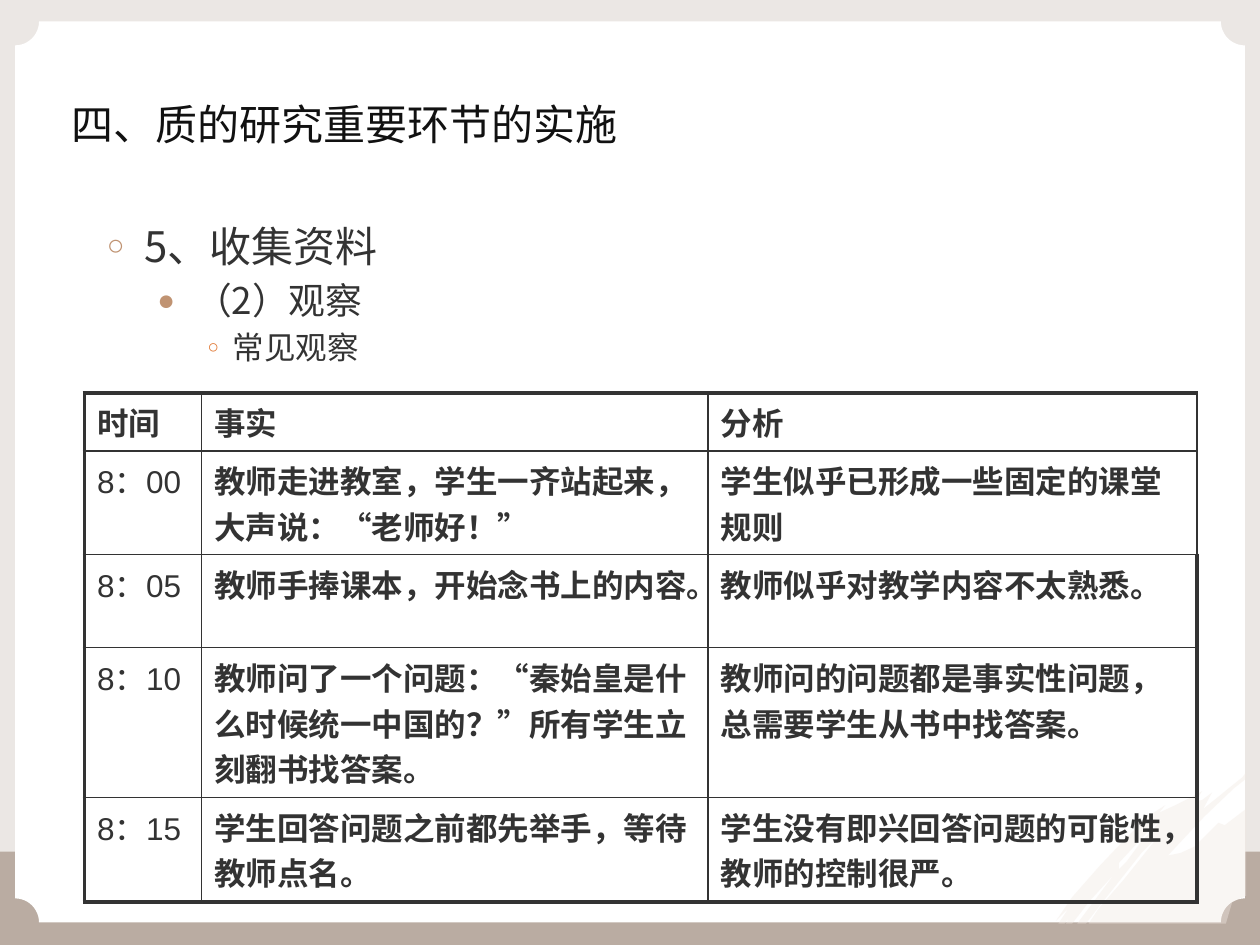
"""Build a slide with a heading, an outline and an observation record table."""
from dataclasses import dataclass

from lxml import etree
from pptx import Presentation
from pptx.dml.color import RGBColor
from pptx.enum.shapes import MSO_SHAPE
from pptx.enum.text import MSO_ANCHOR
from pptx.oxml.ns import qn
from pptx.util import Inches, Pt

RECTANGLE, PLAQUE = MSO_SHAPE.RECTANGLE, MSO_SHAPE.PLAQUE
BOTTOM = MSO_ANCHOR.BOTTOM
GRID = Inches(0.01)
COLUMNS, ROWS = 1000, 750


@dataclass(frozen=True)
class Theme:
    """Colours, fonts and sizes of the slide."""
    white: str = "FFFFFF"
    backdrop: str = "EBE7E4"
    band: str = "BAACA2"
    brush: str = "F2E9E3"
    brush_opacity: int = 40
    heading: str = "111111"
    ink: str = "333333"
    bullet: str = "C09372"
    small_bullet: str = "E0752F"
    outline_font: str = "Noto Sans CJK SC"
    table_font: str = "Arial"
    heading_size: int = 24
    table_size: int = 18
    thin: float = 1
    thick: float = 2.25


@dataclass(frozen=True)
class Box:
    """An area in grid columns and rows."""
    left: int
    top: int
    width: int
    height: int

    def lengths(self):
        """Return the four lengths in slide units."""
        return [GRID * n for n in (self.left, self.top, self.width, self.height)]


@dataclass(frozen=True)
class Level:
    """One outline line with its bullet and indent."""
    text: str
    size: int
    indent: int
    hanging: int
    mark: str
    mark_size: int
    mark_color: str


THEME = Theme()
OUTLINE = (
    Level("5、收集资料", 24, 30, 30, "○", 70, THEME.bullet),
    Level("（2）观察", 21, 70, 30, "●", 80, THEME.bullet),
    Level("常见观察", 18, 100, 20, "○", 60, THEME.small_bullet),
)
RECORDS = (
    ("时间", "事实", "分析"),
    ("8：00", "教师走进教室，学生一齐站起来，大声说：“老师好！”", "学生似乎已形成一些固定的课堂规则"),
    ("8：05", "教师手捧课本，开始念书上的内容。", "教师似乎对教学内容不太熟悉。"),
    ("8：10", "教师问了一个问题：“秦始皇是什么时候统一中国的？”所有学生立刻翻书找答案。",
     "教师问的问题都是事实性问题，总需要学生从书中找答案。"),
    ("8：15", "学生回答问题之前都先举手，等待教师点名。", "学生没有即兴回答问题的可能性，教师的控制很严。"),
)
RECORD_COLUMNS = (93, 402, 388)
RECORD_ROWS = (46, 82, 74, 119, 83)
FIRST_THICK_RIGHT = 2
BRUSH_OUTLINE = (
    (151, 0), (151, 5), (141, 13), (118, 35), (89, 66), (99, 64), (110, 59),
    (129, 40), (134, 42), (151, 29), (151, 98), (140, 103), (135, 120),
    (26, 120), (34, 108), (54, 85), (78, 55), (81, 51), (68, 64), (34, 107),
    (24, 120), (17, 120), (26, 108), (44, 84), (48, 79), (27, 102), (13, 120),
    (8, 120), (11, 115), (7, 120), (2, 120), (10, 108), (0, 118), (13, 99),
    (35, 74), (55, 53), (73, 35), (87, 26), (82, 32), (95, 26), (107, 20),
    (116, 15), (111, 23), (116, 22), (124, 16), (117, 29), (127, 21),
    (138, 12), (148, 4),
)
BRUSH_SLIT = ((85, 36), (75, 45), (50, 72), (50, 77), (56, 71), (67, 56), (80, 42))


def paint(shape, color):
    """Give a shape a plain fill without line or shadow."""
    shape.shadow.inherit = False
    shape.fill.solid()
    shape.fill.fore_color.rgb = RGBColor.from_string(color)
    shape.line.fill.background()


def add_run(paragraph, text, size, font_name, color, bold=False):
    """Add one formatted run, with the font set for both scripts."""
    run = paragraph.add_run()
    run.text = text
    font = run.font
    font.size, font.name, font.bold = Pt(size), font_name, bold
    font.color.rgb = RGBColor.from_string(color)
    etree.SubElement(run._r.get_or_add_rPr(), qn("a:ea"), typeface=THEME.outline_font)


def add_bullet(paragraph, level):
    """Add a coloured bullet and a hanging indent."""
    properties = paragraph._p.get_or_add_pPr()
    properties.set("marL", str(GRID * level.indent))
    properties.set("indent", str(-GRID * level.hanging))
    color = etree.SubElement(properties, qn("a:buClr"))
    etree.SubElement(color, qn("a:srgbClr"), val=level.mark_color)
    etree.SubElement(properties, qn("a:buSzPct"), val=str(level.mark_size * 1000))
    etree.SubElement(properties, qn("a:buFont"), typeface=THEME.table_font)
    etree.SubElement(properties, qn("a:buChar"), char=level.mark)


def add_frame(slide, box):
    """Draw the backdrop, the lower band and the notched panel."""
    band_height, notch = 74, 19
    panel = Box(box.left + 12, box.top + 17, box.width - 24, box.height - 35)
    band = Box(box.left, box.top + box.height - band_height, box.width, band_height)
    for kind, area, color in ((RECTANGLE, box, THEME.backdrop),
                              (RECTANGLE, band, THEME.band),
                              (PLAQUE, panel, THEME.white)):
        shape = slide.shapes.add_shape(kind, *area.lengths())
        paint(shape, color)
    shape.adjustments[0] = notch / panel.height


def add_brush(slide, box):
    """Draw the translucent brush stroke."""
    builder = slide.shapes.build_freeform(*BRUSH_OUTLINE[0], scale=GRID)
    builder.add_line_segments(BRUSH_OUTLINE[1:])
    builder.move_to(*BRUSH_SLIT[0])
    builder.add_line_segments(BRUSH_SLIT[1:])
    shape = builder.convert_to_shape(GRID * box.left, GRID * box.top)
    paint(shape, THEME.brush)
    color = shape._element.spPr.find(qn("a:solidFill"))[0]
    etree.SubElement(color, qn("a:alpha"), val=str(THEME.brush_opacity * 1000))


def add_heading(slide, box):
    """Place the heading on the bottom edge of its box."""
    frame = slide.shapes.add_textbox(*box.lengths()).text_frame
    frame.word_wrap = True
    frame.vertical_anchor = BOTTOM
    frame.margin_left = frame.margin_right = frame.margin_top = frame.margin_bottom = 0
    add_run(frame.paragraphs[0], "四、质的研究重要环节的实施", THEME.heading_size,
            THEME.outline_font, THEME.heading)


def add_outline(slide, box):
    """Place the three bulleted levels."""
    frame = slide.shapes.add_textbox(*box.lengths()).text_frame
    frame.word_wrap = True
    for index, level in enumerate(OUTLINE):
        paragraph = frame.add_paragraph() if index else frame.paragraphs[0]
        paragraph.level = index
        if index:
            paragraph.space_before = Pt(level.size * 0.2)
        add_bullet(paragraph, level)
        add_run(paragraph, level.text, level.size, THEME.outline_font, THEME.ink)


def set_borders(cell, widths):
    """Set the left, right, top and bottom borders of a cell."""
    properties = cell._tc.get_or_add_tcPr()
    for index, (side, width) in enumerate(zip(("lnL", "lnR", "lnT", "lnB"), widths)):
        line = etree.Element(qn(f"a:{side}"), w=str(Pt(width)))
        fill = etree.SubElement(line, qn("a:solidFill"))
        etree.SubElement(fill, qn("a:srgbClr"), val=THEME.ink)
        properties.insert(index, line)


def add_records(slide, box):
    """Place the observation table with a heavier outer border."""
    last_row, last_column = len(RECORD_ROWS) - 1, len(RECORD_COLUMNS) - 1
    table = slide.shapes.add_table(last_row + 1, last_column + 1, *box.lengths()).table
    table.horz_banding = table.first_row = False
    for column, width in zip(table.columns, RECORD_COLUMNS):
        column.width = GRID * width
    for row_index, (row, height) in enumerate(zip(table.rows, RECORD_ROWS)):
        row.height = GRID * height
        for column_index, cell in enumerate(row.cells):
            cell.fill.background()
            add_run(cell.text_frame.paragraphs[0], RECORDS[row_index][column_index],
                    THEME.table_size, THEME.table_font, THEME.ink,
                    bold=row_index == 0 or column_index > 0)
            heavy = (column_index == 0,
                     column_index == last_column and row_index >= FIRST_THICK_RIGHT,
                     row_index == 0, row_index == last_row)
            set_borders(cell, [THEME.thick if edge else THEME.thin for edge in heavy])


def main():
    """Build and save the presentation."""
    presentation = Presentation()
    presentation.slide_width, presentation.slide_height = GRID * COLUMNS, GRID * ROWS
    slide = presentation.slides.add_slide(presentation.slide_layouts[6])
    add_frame(slide, Box(0, 0, COLUMNS, ROWS))
    add_brush(slide, Box(838, 613, 151, 120))
    add_outline(slide, Box(75, 170, 870, 424))
    add_records(slide, Box(67, 312, sum(RECORD_COLUMNS), sum(RECORD_ROWS)))
    add_heading(slide, Box(57, 39, 886, 79))
    presentation.save("out.pptx")


if __name__ == "__main__":
    main()
